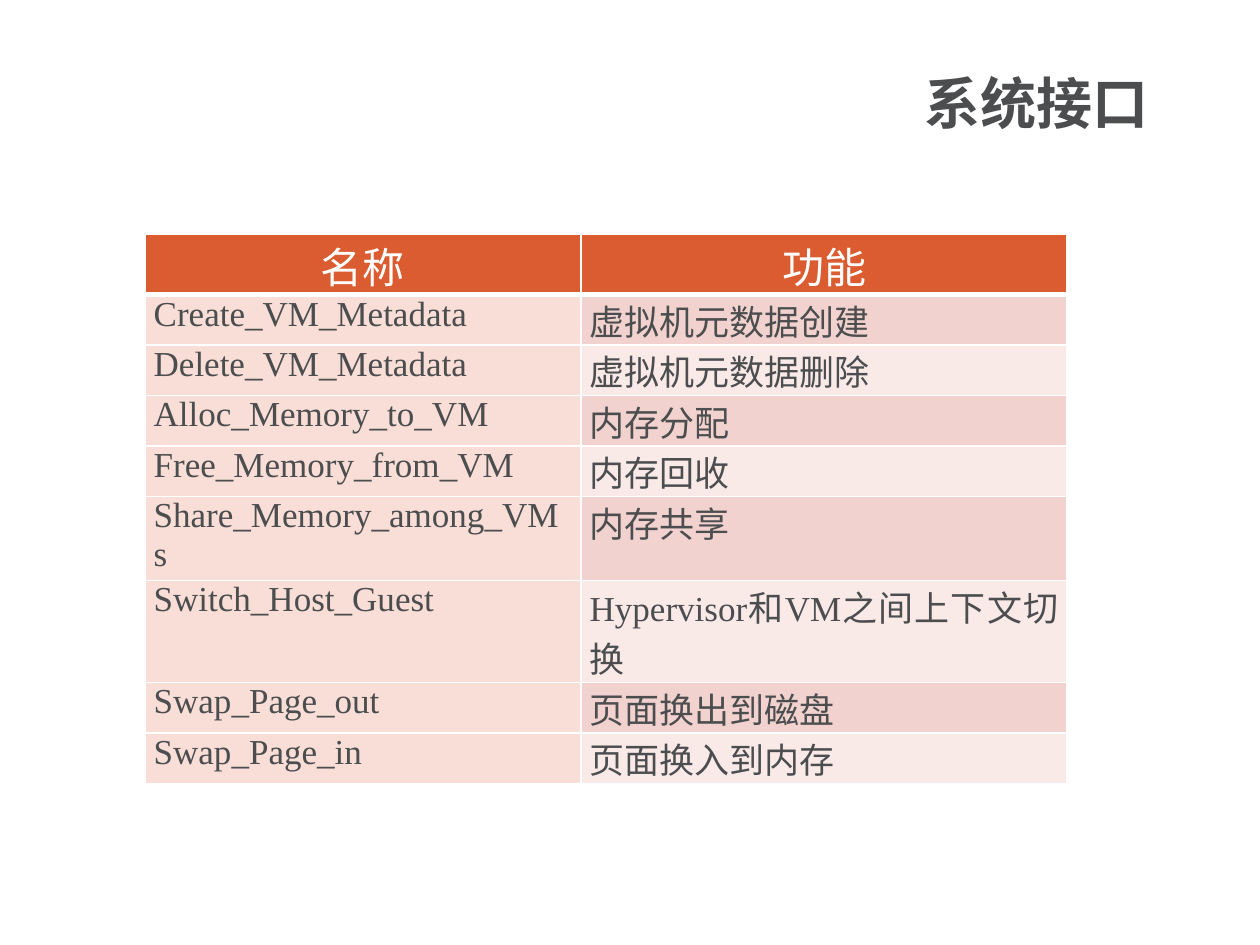
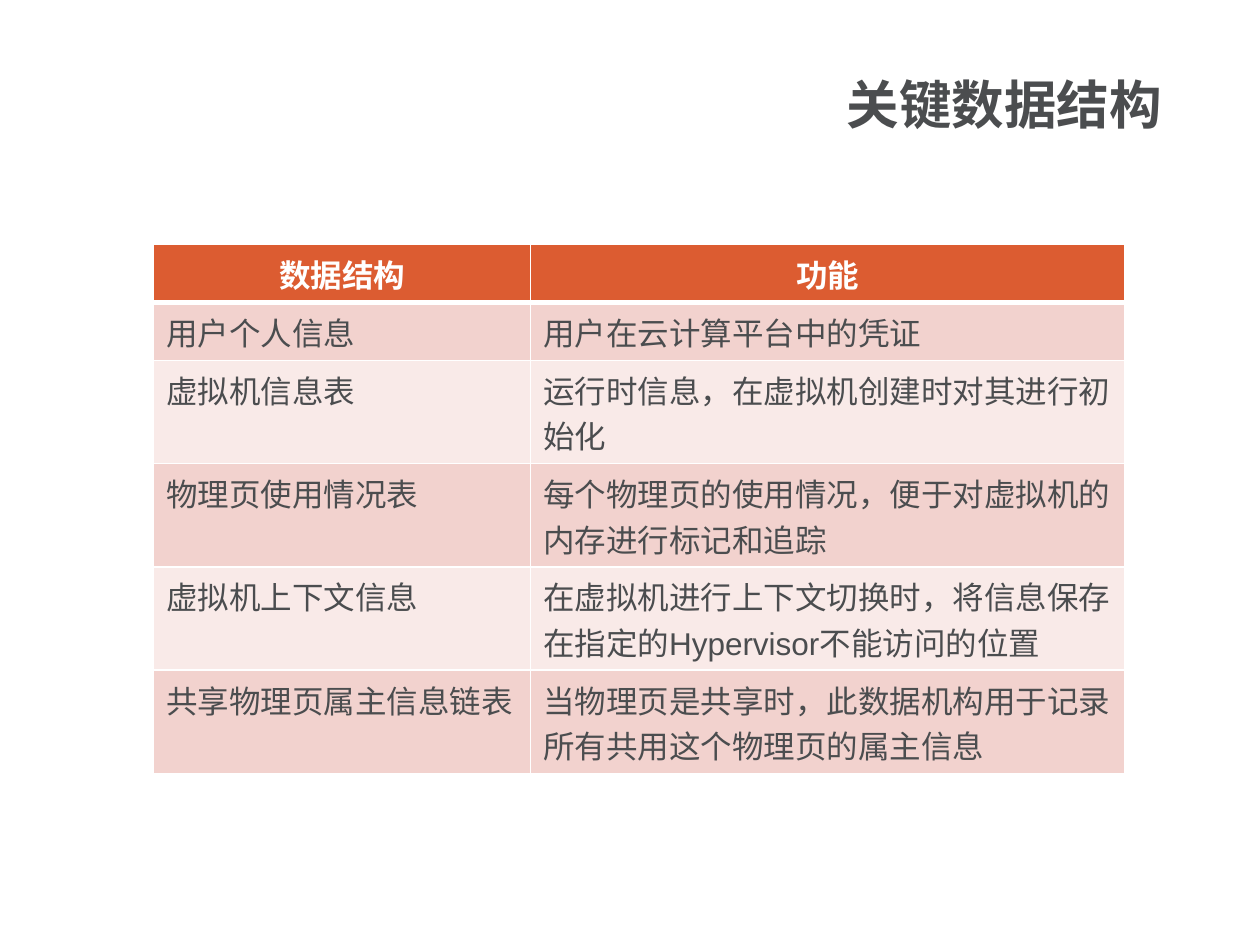
"""Build two table slides: system interfaces and key data structures."""
from lxml import etree
from pptx import Presentation
from pptx.dml.color import RGBColor
from pptx.enum.text import MSO_ANCHOR, PP_ALIGN
from pptx.oxml.ns import qn
from pptx.util import Inches, Pt

LEFT, CENTER, RIGHT, JUSTIFY = PP_ALIGN.LEFT, PP_ALIGN.CENTER, PP_ALIGN.RIGHT, PP_ALIGN.JUSTIFY
BOTTOM = MSO_ANCHOR.BOTTOM

COLORS = {
    "text": "4B4D4F",
    "white": "FFFFFF",
    "header": "DC5C31",
    "name": "F8DED6",
    "band_dark": "F2D2CE",
    "band_light": "F9EAE8",
}
TITLE_FONT = "Montserrat"
TITLE_AREA = (4.05, 0.37, 5.27, 0.76)

SLIDES = [
    {
        "title": "系统接口 ",
        "title_size": 32,
        "origin": (1.15, 1.86),
        "columns": (3.46, 3.86),
        "row_heights": (0.48, 0.4, 0.4, 0.4, 0.4, 0.62, 0.81, 0.4, 0.4),
        "margins": (0.07, 0),
        "font": "Times New Roman",
        "header_size": 24,
        "body_size": 20,
        "header_bold": False,
        "align": JUSTIFY,
        "tinted_names": True,
        "rows": [
            ("名称", "功能"),
            ("Create_VM_Metadata", "虚拟机元数据创建"),
            ("Delete_VM_Metadata", "虚拟机元数据删除"),
            ("Alloc_Memory_to_VM", "内存分配"),
            ("Free_Memory_from_VM", "内存回收"),
            ("Share_Memory_among_VMs", "内存共享"),
            ("Switch_Host_Guest", "Hypervisor和VM之间上下文切换"),
            ("Swap_Page_out", "页面换出到磁盘"),
            ("Swap_Page_in", "页面换入到内存"),
        ],
    },
    {
        "title": "关键数据结构",
        "title_size": 30,
        "origin": (1.22, 1.94),
        "columns": (2.99, 4.72),
        "row_heights": (0.46, 0.46, 0.82, 0.82, 0.82, 0.82),
        "margins": (0.1, 0.05),
        "font": "Arial",
        "header_size": 18,
        "body_size": 18,
        "header_bold": True,
        "align": LEFT,
        "tinted_names": False,
        "rows": [
            ("数据结构", "功能"),
            ("用户个人信息", "用户在云计算平台中的凭证"),
            ("虚拟机信息表", "运行时信息，在虚拟机创建时对其进行初始化"),
            ("物理页使用情况表", "每个物理页的使用情况，便于对虚拟机的内存进行标记和追踪"),
            ("虚拟机上下文信息", "在虚拟机进行上下文切换时，将信息保存在指定的Hypervisor不能访问的位置"),
            ("共享物理页属主信息链表", "当物理页是共享时，此数据机构用于记录所有共用这个物理页的属主信息"),
        ],
    },
]


def style_paragraph(para, font, size, color, bold, align):
    para.alignment = align
    para.font.name = font
    para.font.size = Pt(size)
    para.font.bold = bold
    para.font.color.rgb = RGBColor.from_string(COLORS[color])


def add_title(page, text, size):
    box = page.shapes.add_textbox(*map(Inches, TITLE_AREA))
    frame = box.text_frame
    frame.word_wrap = True
    frame.vertical_anchor = BOTTOM
    para = frame.paragraphs[0]
    para.text = text
    para.line_spacing = 0.9
    style_paragraph(para, TITLE_FONT, size, "text", True, RIGHT)


def set_borders(cell, row):
    widths = {"L": 1, "R": 1, "T": 3 if row == 1 else 1, "B": 3 if row == 0 else 1}
    properties = cell._tc.get_or_add_tcPr()
    for side, width in widths.items():
        line = etree.SubElement(properties, qn(f"a:ln{side}"), w=str(Pt(width)))
        fill = etree.SubElement(line, qn("a:solidFill"))
        etree.SubElement(fill, qn("a:srgbClr"), val=COLORS["white"])


def cell_fill(row, column, tinted_names):
    if row == 0:
        return "header"
    if column == 0 and tinted_names:
        return "name"
    return "band_dark" if row % 2 else "band_light"


def add_table(page, content):
    rows, columns, heights = content["rows"], content["columns"], content["row_heights"]
    area = (*content["origin"], sum(columns), sum(heights))
    table = page.shapes.add_table(len(rows), len(columns), *map(Inches, area)).table
    table.first_row = table.horz_banding = False
    for column, width in zip(table.columns, columns):
        column.width = Inches(width)
    for table_row, height in zip(table.rows, heights):
        table_row.height = Inches(height)

    side, edge = map(Inches, content["margins"])
    header_style = (content["header_size"], "white", content["header_bold"], CENTER)
    body_style = (content["body_size"], "text", False, content["align"])
    for row, texts in enumerate(rows):
        for column, text in enumerate(texts):
            cell = table.cell(row, column)
            cell.margin_left = cell.margin_right = side
            cell.margin_top = cell.margin_bottom = edge
            set_borders(cell, row)
            cell.fill.solid()
            color = cell_fill(row, column, content["tinted_names"])
            cell.fill.fore_color.rgb = RGBColor.from_string(COLORS[color])
            cell.text = text
            style = body_style if row else header_style
            style_paragraph(cell.text_frame.paragraphs[0], content["font"], *style)


def main():
    deck = Presentation()
    deck.slide_width, deck.slide_height = Inches(10), Inches(7.5)
    for content in SLIDES:
        page = deck.slides.add_slide(deck.slide_layouts[6])
        add_title(page, content["title"], content["title_size"])
        add_table(page, content)
    deck.save("out.pptx")


if __name__ == "__main__":
    main()
